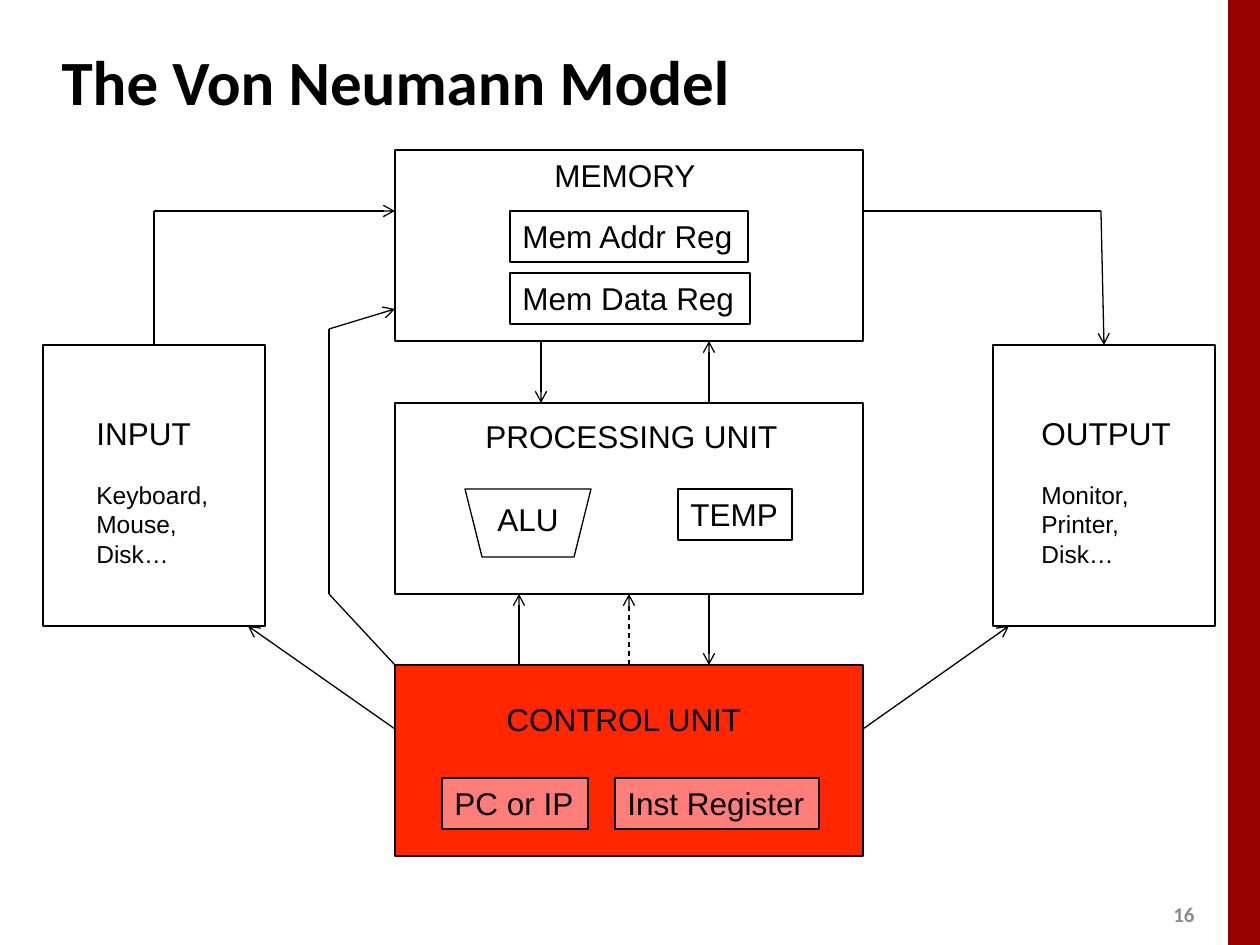
"""Build the Von Neumann model slide."""
from dataclasses import dataclass
from typing import NamedTuple, Optional

from lxml import etree
from pptx import Presentation
from pptx import util as u
from pptx.dml.color import RGBColor
from pptx.enum import dml, shapes, text
from pptx.oxml import ns

EMU_PER_PX = u.Inches(1) / 126


@dataclass(frozen=True)
class Theme:
    ink: str = "000000"
    band: str = "990000"
    control: str = "FF2600"
    register: str = "FF7E79"
    muted: str = "8C8C8C"
    heading_font: str = "Calibri"
    body_font: str = "Arial"
    title_size: int = 36
    label_size: int = 18
    detail_size: int = 14
    number_size: int = 12
    line_width: float = 0.75


THEME = Theme()


class Area(NamedTuple):
    left: int
    top: int
    width: int
    height: int


@dataclass(frozen=True)
class Block:
    area: Area
    fill: Optional[str] = None
    label: str = ""
    outlined: bool = True
    preset: shapes.MSO_SHAPE = shapes.MSO_SHAPE.RECTANGLE
    rotation: int = 0


@dataclass(frozen=True)
class Label:
    area: Area
    heading: str
    details: tuple = ()


@dataclass(frozen=True)
class Link:
    start: tuple
    end: tuple
    arrow: bool = True
    dashed: bool = False
    source: Optional[tuple] = None
    target: Optional[tuple] = None


UNITS = {
    "control": Block(Area(395, 665, 468, 191), THEME.control),
    "processing": Block(Area(395, 403, 468, 191)),
    "memory": Block(Area(395, 150, 468, 191)),
    "input": Block(Area(43, 345, 222, 281)),
    "output": Block(Area(993, 345, 222, 281)),
}
PARTS = [
    Block(Area(442, 778, 146, 51), THEME.register, "PC or IP"),
    Block(Area(615, 778, 204, 51), THEME.register, "Inst Register"),
    Block(Area(465, 489, 126, 68), preset=shapes.MSO_SHAPE.TRAPEZOID, rotation=180),
    Block(Area(678, 489, 114, 51), label="TEMP"),
    Block(Area(510, 211, 238, 51), label="Mem Addr Reg"),
    Block(Area(510, 273, 240, 51), label="Mem Data Reg"),
    Block(Area(1228, 0, 32, 945), THEME.band, outlined=False),
]
LABELS = [
    Label(Area(494, 694, 263, 50), "CONTROL UNIT"),
    Label(Area(473, 411, 320, 50), "PROCESSING UNIT"),
    Label(Area(485, 494, 87, 50), "ALU"),
    Label(Area(542, 150, 168, 50), "MEMORY"),
    Label(Area(84, 408, 137, 170), "INPUT", ("Keyboard,", "Mouse,", "Disk…")),
    Label(Area(1029, 408, 156, 170), "OUTPUT", ("Monitor,", "Printer,", "Disk…")),
]
LINKS = [
    Link((541, 341), (541, 403)),
    Link((709, 403), (709, 341)),
    Link((154, 345), (154, 211), arrow=False, source=("input", 0)),
    Link((154, 211), (395, 211)),
    Link((863, 211), (1101, 211), arrow=False),
    Link((1101, 211), (1104, 345), target=("output", 0)),
    Link((629, 665), (629, 594), dashed=True,
         source=("control", 0), target=("processing", 2)),
    Link((395, 729), (248, 626)),
    Link((863, 729), (1009, 626)),
    Link((395, 665), (329, 594), arrow=False),
    Link((329, 594), (329, 329), arrow=False),
    Link((329, 329), (395, 309)),
    Link((709, 594), (709, 665)),
    Link((519, 665), (519, 594)),
]


def px(length: int) -> int:
    """Turn pixels into EMU."""
    return round(length * EMU_PER_PX)


def place(area: Area) -> list:
    """Turn an area into EMU lengths."""
    return [px(length) for length in area]


def write(paragraph, words: str, size: int, font: str = THEME.body_font,
          color: str = THEME.ink, bold: bool = False) -> None:
    """Add one formatted run to a paragraph."""
    run = paragraph.add_run()
    run.text = words
    run.font.size = u.Pt(size)
    run.font.name = font
    run.font.bold = bold
    run.font.color.rgb = RGBColor.from_string(color)


def fit(frame) -> None:
    """Let a frame hug its unwrapped text."""
    frame.word_wrap = False
    frame.auto_size = text.MSO_AUTO_SIZE.SHAPE_TO_FIT_TEXT
    frame.vertical_anchor = text.MSO_ANCHOR.TOP


def draw_line_style(line) -> None:
    """Give an outline or connector the diagram's stroke."""
    line.color.rgb = RGBColor.from_string(THEME.ink)
    line.width = u.Pt(THEME.line_width)


def draw_block(slide, block: Block):
    """Draw a block with its optional label."""
    shape = slide.shapes.add_shape(block.preset, *place(block.area))
    shape.shadow.inherit = False
    shape.rotation = block.rotation
    if block.fill:
        shape.fill.solid()
        shape.fill.fore_color.rgb = RGBColor.from_string(block.fill)
    else:
        shape.fill.background()
    if block.outlined:
        draw_line_style(shape.line)
    else:
        shape.line.fill.background()
    if block.label:
        fit(shape.text_frame)
        paragraph = shape.text_frame.paragraphs[0]
        paragraph.alignment = text.PP_ALIGN.LEFT
        write(paragraph, block.label, THEME.label_size)
    return shape


def draw_label(slide, label: Label) -> None:
    """Draw a heading with its detail lines."""
    frame = slide.shapes.add_textbox(*place(label.area)).text_frame
    fit(frame)
    write(frame.paragraphs[0], label.heading, THEME.label_size)
    for index, detail in enumerate(label.details):
        paragraph = frame.add_paragraph()
        if index == 0:
            paragraph.space_before = u.Pt(16)
        write(paragraph, detail, THEME.detail_size)


def draw_link(slide, link: Link, units: dict) -> None:
    """Draw a straight link between two points."""
    connector = slide.shapes.add_connector(
        shapes.MSO_CONNECTOR.STRAIGHT, *map(px, link.start + link.end))
    if link.source:
        connector.begin_connect(units[link.source[0]], link.source[1])
    if link.target:
        connector.end_connect(units[link.target[0]], link.target[1])
    draw_line_style(connector.line)
    if link.dashed:
        connector.line.dash_style = dml.MSO_LINE.DASH
    if link.arrow:
        stroke = connector.line._get_or_add_ln()
        etree.SubElement(stroke, ns.qn("a:tailEnd"), type="arrow")
    etree.SubElement(connector._element.spPr, ns.qn("a:effectLst"))


def draw_title(slide, words: str) -> None:
    """Fill and place the title placeholder."""
    title = slide.shapes.title
    title.left, title.top, title.width, title.height = place(Area(49, 28, 1046, 105))
    title.text_frame.auto_size = text.MSO_AUTO_SIZE.NONE
    title.text_frame.vertical_anchor = text.MSO_ANCHOR.MIDDLE
    paragraph = title.text_frame.paragraphs[0]
    paragraph.alignment = text.PP_ALIGN.LEFT
    write(paragraph, words, THEME.title_size, THEME.heading_font, bold=True)


def draw_page_number(slide, number: str) -> None:
    """Write the page number at the lower right."""
    frame = slide.shapes.add_textbox(*place(Area(1157, 895, 50, 38))).text_frame
    frame.word_wrap = True
    frame.vertical_anchor = text.MSO_ANCHOR.MIDDLE
    paragraph = frame.paragraphs[0]
    paragraph.alignment = text.PP_ALIGN.RIGHT
    write(paragraph, number, THEME.number_size, THEME.heading_font, THEME.muted, True)


def main() -> None:
    """Assemble and save the slide."""
    deck = Presentation()
    deck.slide_width, deck.slide_height = px(1260), px(945)
    slide = deck.slides.add_slide(deck.slide_layouts[5])
    draw_title(slide, "The Von Neumann Model")
    units = {name: draw_block(slide, block) for name, block in UNITS.items()}
    for part in PARTS:
        draw_block(slide, part)
    for label in LABELS:
        draw_label(slide, label)
    for link in LINKS:
        draw_link(slide, link, units)
    draw_page_number(slide, "16")
    deck.save("out.pptx")


if __name__ == "__main__":
    main()
